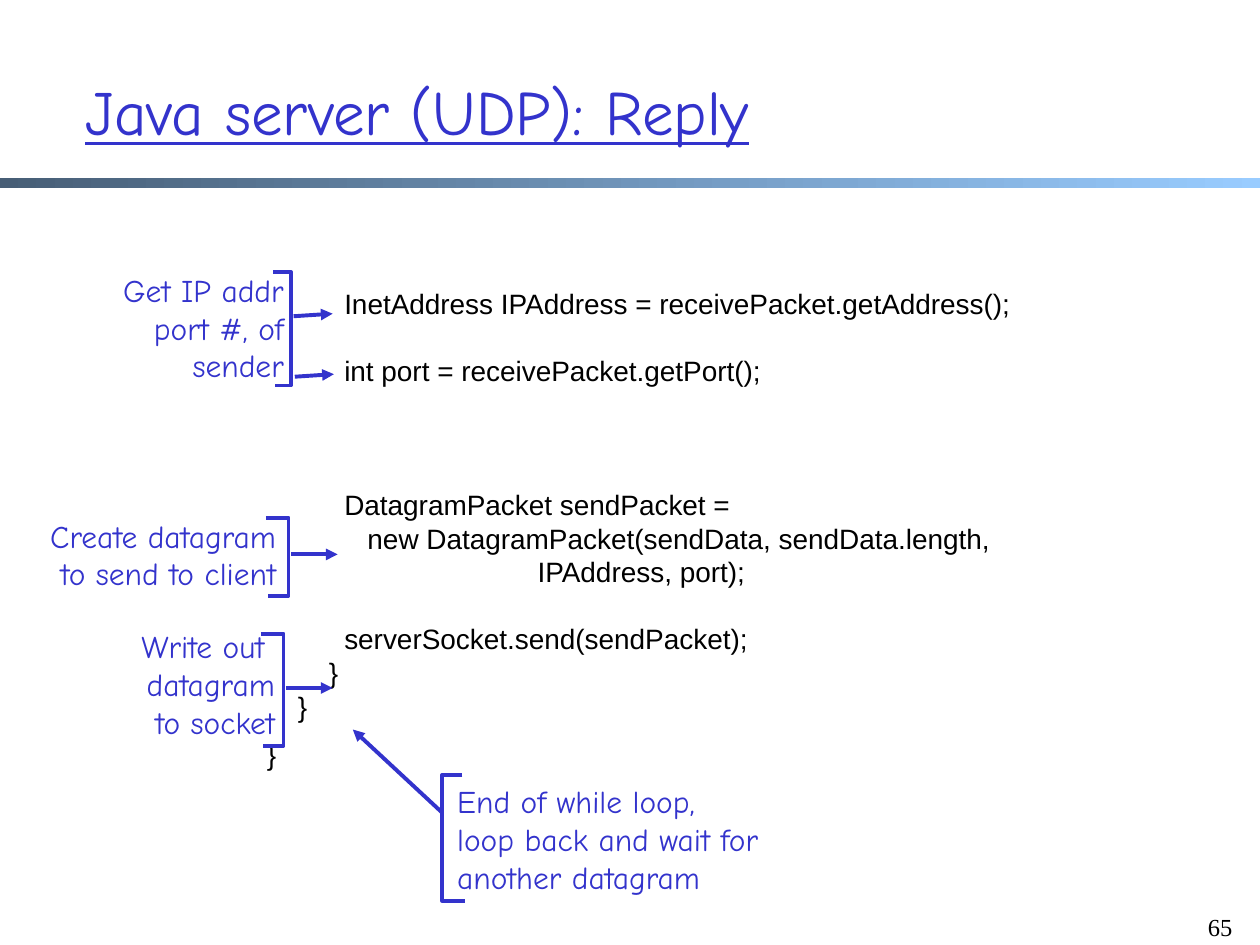
import pptx
import pptx.util
import pptx.dml.color
import pptx.enum.shapes
import pptx.enum.text
import pptx.oxml.ns
from dataclasses import dataclass
from lxml import etree

Inches = pptx.util.Inches
Pt = pptx.util.Pt
Align = pptx.enum.text.PP_ALIGN
Anchor = pptx.enum.text.MSO_ANCHOR
RIGHT, LEFT = Align.RIGHT, Align.LEFT


def rgb(code):
    return pptx.dml.color.RGBColor.from_string(code)


@dataclass(frozen=True)
class Theme:
    blue = rgb("3333CC")
    black = rgb("000000")
    dark = rgb("475E76")
    light = rgb("99CCFF")
    line = Pt(2.25)
    title = {"name": "Comic Neue", "size": Pt(36), "underline": True}
    note = {"name": "Comic Neue", "size": Pt(18)}
    code = {"name": "Arial", "size": Pt(16)}
    page = {"name": "Times New Roman", "size": Pt(14)}
    note_gap = Pt(21.6)
    code_gap = Pt(19.2)


theme = Theme()

# Each entry: code text, blank lines above it
CODE = [
    ("          InetAddress IPAddress = receivePacket.getAddress();", 0),
    ("          int port = receivePacket.getPort();", 1),
    ("          DatagramPacket sendPacket =", 3),
    ("             new DatagramPacket(sendData, sendData.length,\v"
     "                                   IPAddress, port);", 0),
    ("          serverSocket.send(sendPacket);", 1),
    ("        }", 0),
    ("    }", 0),
    ("}", 0.45),
]

NOTES = [
    ((0.06, 2.1, 2.29, 1), ["Get IP addr", "port #, of", "sender"], RIGHT),
    ((0.13, 4.05, 2.16, 0.7), ["Create datagram", "to send to client"], RIGHT),
    ((0.84, 4.93, 1.44, 1), ["Write out ", "datagram", "to socket"], RIGHT),
    ((3.53, 6.16, 2.78, 1),
     ["End of while loop,", "loop back and wait for", "another datagram"], LEFT),
]

# Spine x, top, bottom, then the x of the upper and lower tips
BRACKETS = [
    (2.31, 2.16, 3.06, 2.17, 2.18),
    (2.29, 4.11, 4.73, 2.11, 2.13),
    (2.25, 5.03, 5.92, 2.07, 2.09),
    (3.51, 6.15, 7.15, 3.67, 3.69),
]

ARROWS = [
    (2.33, 2.51, 2.64, 2.49),
    (2.34, 2.99, 2.65, 2.97),
    (2.31, 4.4, 2.68, 4.4),
    (2.27, 5.46, 2.64, 5.46),
    (3.51, 6.45, 2.8, 5.79),
]


def add_text(slide, place, lines, face, color, align=LEFT,
             anchor=Anchor.MIDDLE, gap=None):
    box = slide.shapes.add_textbox(*map(Inches, place))
    frame = box.text_frame
    frame.word_wrap = True
    frame.vertical_anchor = anchor
    for i, line in enumerate(lines):
        para = frame.paragraphs[0] if i == 0 else frame.add_paragraph()
        para.text = line
        para.alignment = align
        if gap:
            para.line_spacing = gap
        for key, value in face.items():
            setattr(para.font, key, value)
        para.font.color.rgb = color
    return frame


def add_code(slide):
    frame = add_text(slide, (2.02, 1.67, 6.18, 4.55), [t for t, _ in CODE],
                     theme.code, theme.black, anchor=Anchor.TOP,
                     gap=theme.code_gap)
    frame.margin_top = Inches(0.6)
    for para, (_, blank) in zip(frame.paragraphs, CODE):
        if blank:
            para.space_before = int(blank * theme.code_gap)


def add_rule(slide):
    rule = slide.shapes.add_shape(
        pptx.enum.shapes.MSO_SHAPE.RECTANGLE,
        *map(Inches, (0, 1.41, 10, 0.08)))
    rule.shadow.inherit = False
    rule.line.fill.background()
    rule.fill.gradient()
    rule.fill.gradient_angle = 0
    for stop, color in zip(rule.fill.gradient_stops, (theme.dark, theme.light)):
        stop.color.rgb = color


def ink(shape):
    shape.line.color.rgb = theme.blue
    shape.line.width = theme.line


def add_bracket(slide, spine, top, base, upper, lower):
    pen = slide.shapes.build_freeform(Inches(upper), Inches(top))
    ends = [(spine, top), (spine, base), (lower, base)]
    pen.add_line_segments([(Inches(x), Inches(y)) for x, y in ends], close=False)
    shape = pen.convert_to_shape()
    shape.shadow.inherit = False
    shape.fill.background()
    ink(shape)


def add_arrow(slide, *ends):
    arrow = slide.shapes.add_connector(
        pptx.enum.shapes.MSO_CONNECTOR.STRAIGHT, *map(Inches, ends))
    ink(arrow)
    qn = pptx.oxml.ns.qn
    etree.SubElement(arrow.line._get_or_add_ln(), qn("a:tailEnd"), type="triangle")
    etree.SubElement(arrow._element.spPr, qn("a:effectLst"))


def main():
    deck = pptx.Presentation()
    deck.slide_width, deck.slide_height = Inches(10), Inches(7.5)
    slide = deck.slides.add_slide(deck.slide_layouts[6])
    add_rule(slide)
    add_text(slide, (9.38, 7.19, 0.5, 0.5), ["65"], theme.page, theme.black,
             RIGHT, Anchor.TOP)
    add_text(slide, (0.58, 0.25, 8.5, 1.25), ["Java server (UDP): Reply"],
             theme.title, theme.blue)
    add_code(slide)
    for place, lines, align in NOTES:
        add_text(slide, place, lines, theme.note, theme.blue, align,
                 gap=theme.note_gap)
    for bracket in BRACKETS:
        add_bracket(slide, *bracket)
    for arrow in ARROWS:
        add_arrow(slide, *arrow)
    deck.save("out.pptx")


if __name__ == "__main__":
    main()
